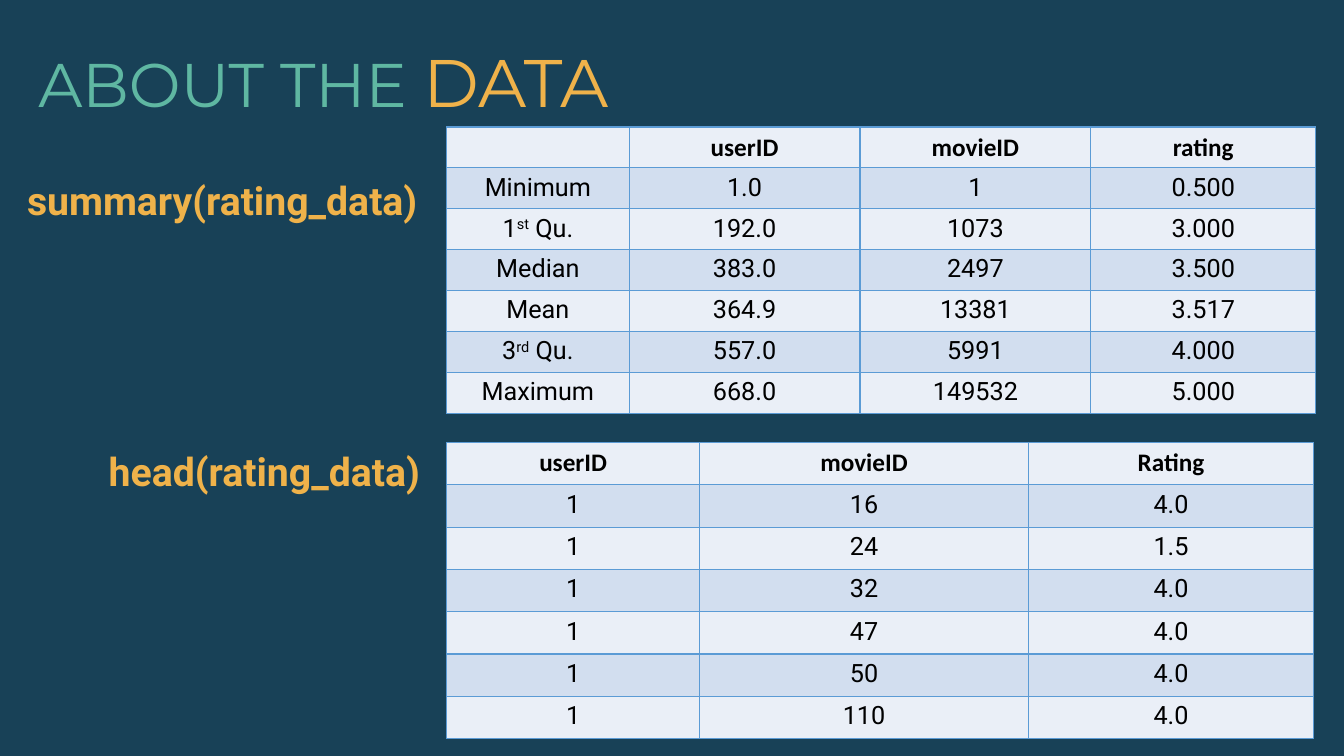
from lxml import etree
from pptx import Presentation
from pptx.dml.color import RGBColor
from pptx.enum.text import MSO_ANCHOR, MSO_AUTO_SIZE, PP_ALIGN
from pptx.oxml.ns import qn
from pptx.util import Inches, Pt

CENTER, LEFT = PP_ALIGN.CENTER, PP_ALIGN.LEFT
TOP = MSO_ANCHOR.TOP
FIT_SHAPE = MSO_AUTO_SIZE.SHAPE_TO_FIT_TEXT
COLORS = {
    "background": "184157",
    "green": "5FB7A2",
    "gold": "EFB24A",
    "light_row": "EAEFF7",
    "dark_row": "D2DEEF",
    "border": "5B9BD5",
    "black": "000000",
}


def set_font(font, name, size, color, bold=False):
    font.name = name
    font.size = Pt(size)
    font.bold = bold
    font.color.rgb = RGBColor.from_string(COLORS[color])


def add_border(cell):
    properties = cell._tc.get_or_add_tcPr()
    for position, side in enumerate(("lnL", "lnR", "lnT", "lnB")):
        line = etree.Element(qn(f"a:{side}"), w=str(Pt(1)))
        fill = etree.SubElement(line, qn("a:solidFill"))
        etree.SubElement(fill, qn("a:srgbClr"), val=COLORS["border"])
        properties.insert(position, line)


presentation = Presentation()
presentation.slide_width = Inches(13.33)
presentation.slide_height = Inches(7.5)
slide = presentation.slides.add_slide(presentation.slide_layouts[5])
slide.background.fill.solid()
slide.background.fill.fore_color.rgb = RGBColor.from_string(COLORS["background"])

title = slide.shapes.title
title.left, title.top = Inches(0.28), Inches(0.35)
title.width, title.height = Inches(6.39), Inches(0.91)
title.text_frame.word_wrap = False
title.text_frame.auto_size = FIT_SHAPE
title.text_frame.vertical_anchor = TOP
paragraph = title.text_frame.paragraphs[0]
paragraph.alignment = LEFT
for text, size, color in (("ABOUT THE ", 44, "green"), ("DATA", 48, "gold")):
    run = paragraph.add_run()
    run.text = text
    set_font(run.font, "Montserrat", size, color)

summary_rows = [
    ["", "userID", "movieID", "rating"],
    ["Minimum", "1.0", "1", "0.500"],
    ["1^st^ Qu.", "192.0", "1073", "3.000"],
    ["Median", "383.0", "2497", "3.500"],
    ["Mean", "364.9", "13381", "3.517"],
    ["3^rd^ Qu.", "557.0", "5991", "4.000"],
    ["Maximum", "668.0", "149532", "5.000"],
]
head_rows = [
    ["userID", "movieID", "Rating"],
    ["1", "16", "4.0"],
    ["1", "24", "1.5"],
    ["1", "32", "4.0"],
    ["1", "47", "4.0"],
    ["1", "50", "4.0"],
    ["1", "110", "4.0"],
]
tables = [
    (summary_rows, 1.26, [1.81, 2.29, 2.29, 2.23], 2.84),
    (head_rows, 4.39, [2.51, 3.26, 2.83], 2.94),
]
for rows, top, widths, height in tables:
    table = slide.shapes.add_table(
        len(rows), len(widths), Inches(4.43), Inches(top),
        Inches(sum(widths)), Inches(height),
    ).table
    for column, width in zip(table.columns, widths):
        column.width = Inches(width)
    for row_index, row in enumerate(rows):
        is_header = row_index == 0
        row_color = "dark_row" if row_index % 2 else "light_row"
        for column_index, value in enumerate(row):
            cell = table.cell(row_index, column_index)
            cell.fill.solid()
            cell.fill.fore_color.rgb = RGBColor.from_string(COLORS[row_color])
            add_border(cell)
            paragraph = cell.text_frame.paragraphs[0]
            paragraph.alignment = CENTER
            font_name = "Calibri" if is_header else "Roboto"
            set_font(paragraph.font, font_name, 18, "black", is_header)
            for part_index, part in enumerate(value.split("^")):
                run = paragraph.add_run()
                run.text = part
                if part_index == 1:
                    run.font._element.set("baseline", "30000")

labels = [
    ("summary(rating_data)", 0.17, 1.7, 4.09),
    ("head(rating_data)", 0.98, 4.39, 3.34),
]
for text, left, top, width in labels:
    label = slide.shapes.add_textbox(
        Inches(left), Inches(top), Inches(width), Inches(0.57)
    )
    label.text_frame.word_wrap = False
    label.text_frame.auto_size = FIT_SHAPE
    paragraph = label.text_frame.paragraphs[0]
    paragraph.text = text
    set_font(paragraph.font, "Roboto", 28, "gold", True)

presentation.save("out.pptx")
